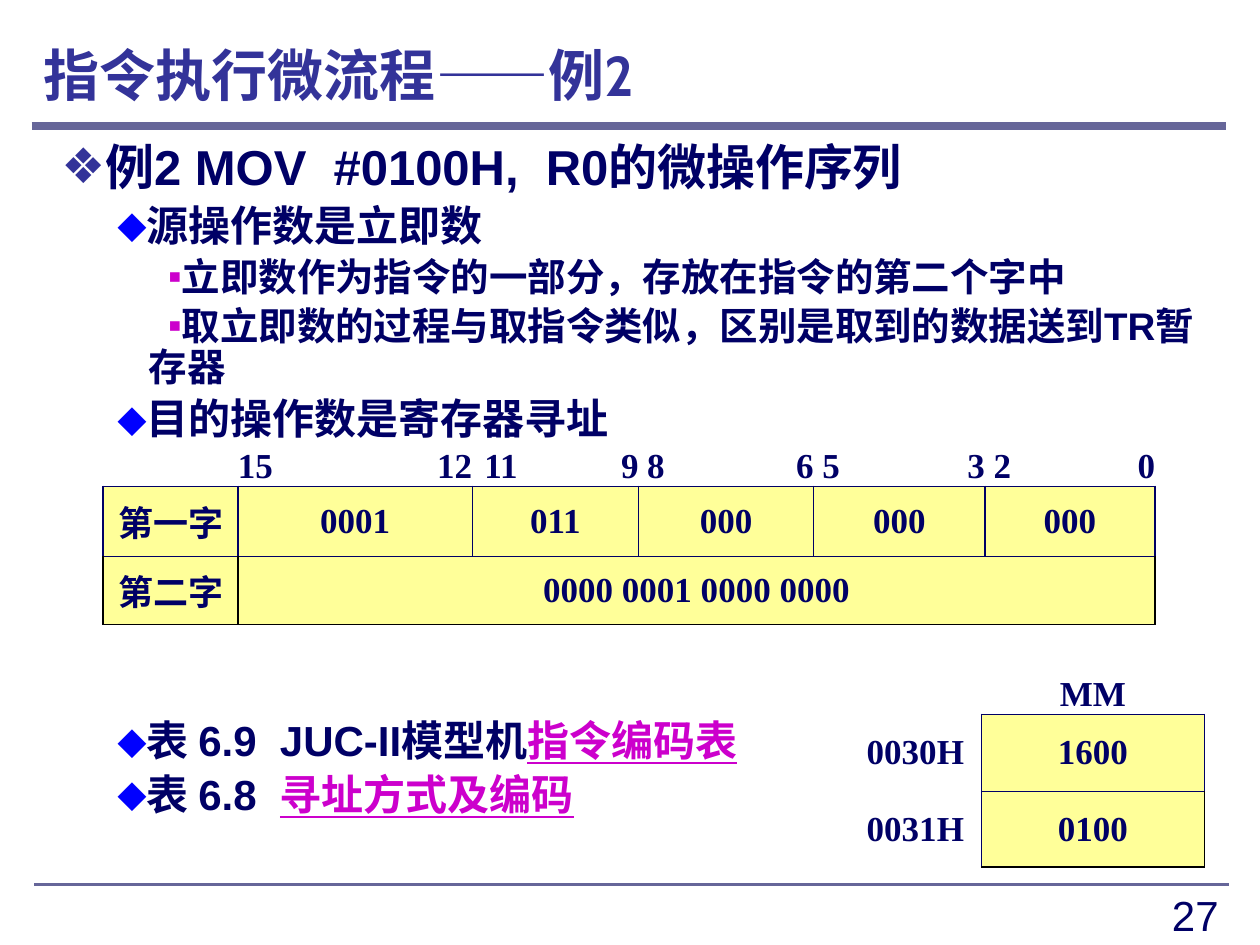
from dataclasses import dataclass
from lxml import etree
from pptx import Presentation
from pptx.dml.color import RGBColor
from pptx.enum import shapes, text
from pptx.oxml import ns
from pptx.util import Pt

LEFT, MID, RIGHT = text.PP_ALIGN.LEFT, text.PP_ALIGN.CENTER, text.PP_ALIGN.RIGHT
LOW, HALF = text.MSO_ANCHOR.BOTTOM, text.MSO_ANCHOR.MIDDLE


@dataclass(frozen=True)
class Theme:
    ink: str = "000066"
    head: str = "333399"
    rule: str = "666699"
    blue: str = "0000FF"
    pink: str = "CC00CC"
    pale: str = "FFFF99"
    black: str = "000000"
    sans: str = "Arial"
    serif: str = "Times New Roman"
    title: str = "Cabin"
    big: int = 32
    lead: int = 28
    body: int = 24
    small: int = 22
    cell: int = 20


T = Theme()
LEVELS = (
    ("❖", T.head, T.lead, 0, 10),
    ("⬥", T.blue, T.body, 30, 12),
    ("▪", T.pink, T.small, 60, 11),
)


def rgb(code):
    return RGBColor.from_string(code)


def node(owner, tag, **attrs):
    return etree.SubElement(owner, ns.qn(tag), {k: str(v) for k, v in attrs.items()})


def write(para, words, size=T.body, face=T.sans, color=T.ink, bold=True,
          align=LEFT, under=False):
    para.alignment = align
    run = para.add_run()
    run.text = words
    font = run.font
    font.size, font.name, font.bold = Pt(size), face, bold
    font.color.rgb = rgb(color)
    if under:
        font.underline = True


def box(slide, x, y, w, h, anchor=text.MSO_ANCHOR.TOP):
    frame = slide.shapes.add_textbox(Pt(x), Pt(y), Pt(w), Pt(h)).text_frame
    frame.word_wrap = True
    frame.vertical_anchor = anchor
    return frame


def line(slide, x, y, end, width):
    rule = slide.shapes.add_connector(
        shapes.MSO_CONNECTOR.STRAIGHT, Pt(x), Pt(y), Pt(end), Pt(y))
    rule.line.color.rgb = rgb(T.rule)
    rule.line.width = Pt(width)
    node(rule._element.spPr, "a:effectLst")


def item(frame, first, level, words, link="", gap=None):
    mark, color, size, left, indent = LEVELS[level]
    para = frame.paragraphs[0] if first else frame.add_paragraph()
    para.level = level
    para.line_spacing = 0.9
    para.space_before = Pt(0 if first else gap or size * 0.2)
    props = para._p.get_or_add_pPr()
    props.set("marL", str(Pt(left)))
    props.set("indent", str(Pt(indent)))
    node(node(props, "a:buClr"), "a:srgbClr", val=color)
    node(props, "a:buFont", typeface=T.sans)
    node(props, "a:buChar", char=mark)
    write(para, words, size)
    if link:
        write(para, link, size, color=T.pink, under=True)


def edge(cell, **sides):
    props = cell._tc.get_or_add_tcPr()
    for side in "LRTB":
        color = sides.get(side)
        ln = node(props, f"a:ln{side}", w=Pt(1))
        if color:
            node(node(ln, "a:solidFill"), "a:srgbClr", val=color)
        else:
            node(ln, "a:noFill")


def put(cell, words="", align=MID, anchor=HALF, pad=0, fill=None, **sides):
    edge(cell, **sides)
    if fill:
        cell.fill.solid()
        cell.fill.fore_color.rgb = rgb(fill)
    else:
        cell.fill.background()
    cell.margin_left = Pt(pad)
    cell.margin_right = cell.margin_top = cell.margin_bottom = 0
    cell.vertical_anchor = anchor
    para = cell.text_frame.paragraphs[0]
    if words:
        write(para, words, T.cell, T.serif, align=align)
    else:
        para.font.size = Pt(T.cell)


def ring(color):
    return dict.fromkeys("LRTB", color)


def grid(slide, x, y, cols, rows):
    table = slide.shapes.add_table(
        len(rows), len(cols), Pt(x), Pt(y), Pt(sum(cols)), Pt(sum(rows))).table
    table.first_row = table.horz_banding = False
    for col, w in zip(table.columns, cols):
        col.width = Pt(w)
    for row, h in zip(table.rows, rows):
        row.height = Pt(h)
    return table


def span(table, row, start, end, words, sides):
    for col in range(start, end + 1):
        put(table.cell(row, col), words if col == start else "",
            fill=T.pale, **sides)
    if end > start:
        table.cell(row, start).merge(table.cell(row, end))


def code(slide):
    cols = (77, 65.5, 68.4, 39.6, 55.4, 43.2, 56.9, 44.6, 53.3, 44.6, 52.6)
    table = grid(slide, 59, 240.5, cols, (37.4, 40, 38.9))
    fields = (("15", "12", "0001", 0), ("11", "9", "011", 7),
              ("8", "6", "000", 5), ("5", "3", "000", 5), ("2", "0", "000", 5))
    put(table.cell(0, 0), B=T.ink)
    span(table, 1, 0, 0, "第一字", ring(T.ink))
    for i, (high, low, bits, pad) in enumerate(fields):
        col = 2 * i + 1
        put(table.cell(0, col), high, LEFT, LOW, pad, B=T.ink)
        put(table.cell(0, col + 1), low, RIGHT, LOW, B=T.ink)
        span(table, 1, col, col + 1, bits, ring(T.ink))
    word = ring(T.black) | {"T": T.ink}
    span(table, 2, 0, 0, "第二字", word)
    span(table, 2, 1, 10, "0000 0001 0000 0000", word)


def store(slide):
    table = grid(slide, 485.3, 366.5, (75.6, 127.4), (41.8, 44, 43.2))
    put(table.cell(0, 0))
    put(table.cell(0, 1), "MM", anchor=LOW, B=T.ink)
    last = ring(T.ink) | {"R": T.black, "B": T.black}
    rows = (("0030H", "1600", ring(T.ink)), ("0031H", "0100", last))
    for row, (place, value, sides) in enumerate(rows, 1):
        put(table.cell(row, 0), place, R=T.ink)
        put(table.cell(row, 1), value, fill=T.pale, **sides)


def main():
    deck = Presentation()
    deck.slide_width, deck.slide_height = Pt(720), Pt(540)
    slide = deck.slides.add_slide(deck.slide_layouts[6])
    line(slide, 18, 72, 700.6, 4.5)
    line(slide, 19.5, 505.4, 702.5, 1.5)
    page = box(slide, 535.7, 504.7, 167.8, 31.7)
    write(page.paragraphs[0], "27", bold=False, align=RIGHT)
    title = box(slide, 18, 18, 682.6, 48.2, HALF)
    write(title.paragraphs[0], "指令执行微流程——例2", T.big, T.title, T.head)
    items = (
        (0, "例2 MOV  #0100H,  R0的微操作序列"),
        (1, "源操作数是立即数"),
        (2, "立即数作为指令的一部分，存放在指令的第二个字中"),
        (2, "取立即数的过程与取指令类似，区别是取到的数据送到TR暂存器"),
        (1, "目的操作数是寄存器寻址"),
        (1, "表 6.9  JUC-II模型机", "指令编码表", 158),
        (1, "表 6.8  ", "寻址方式及编码"),
    )
    frame = box(slide, 18, 78.5, 682.6, 430)
    for i, entry in enumerate(items):
        item(frame, i == 0, *entry)
    code(slide)
    store(slide)
    deck.save("out.pptx")


if __name__ == "__main__":
    main()
